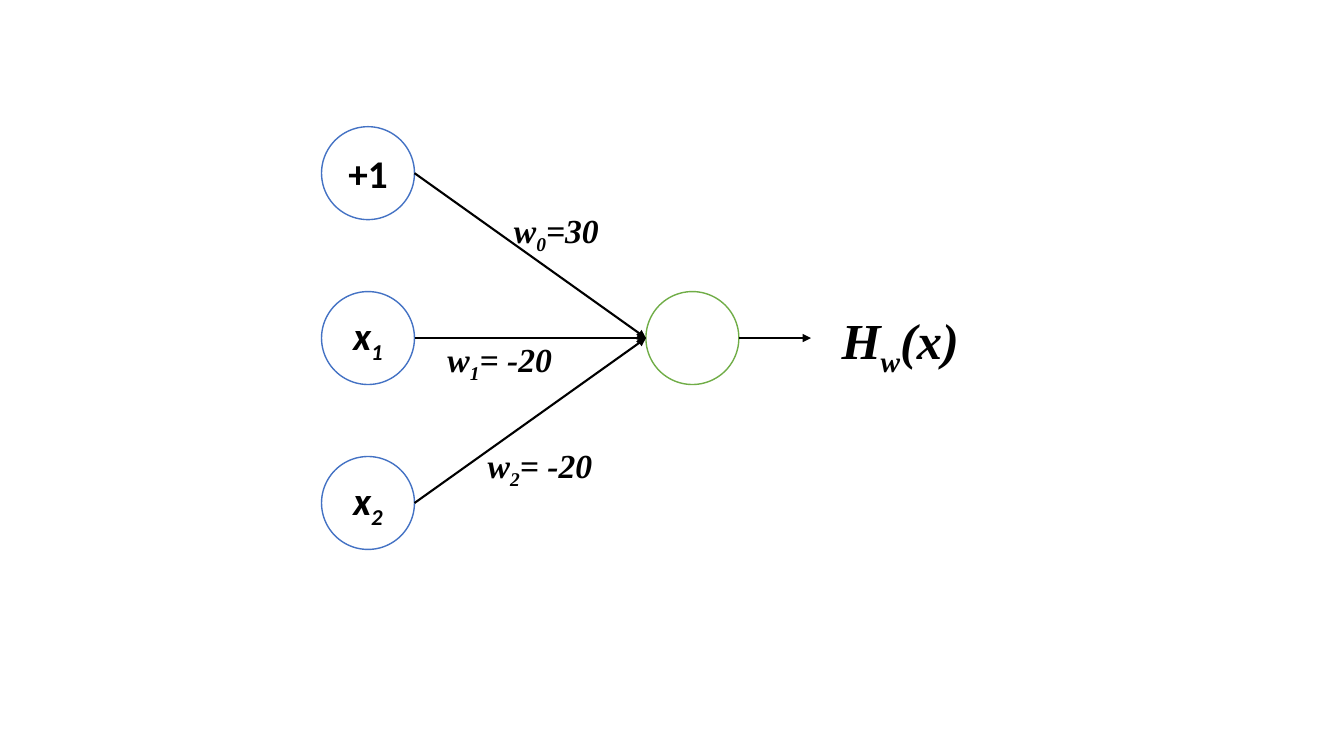
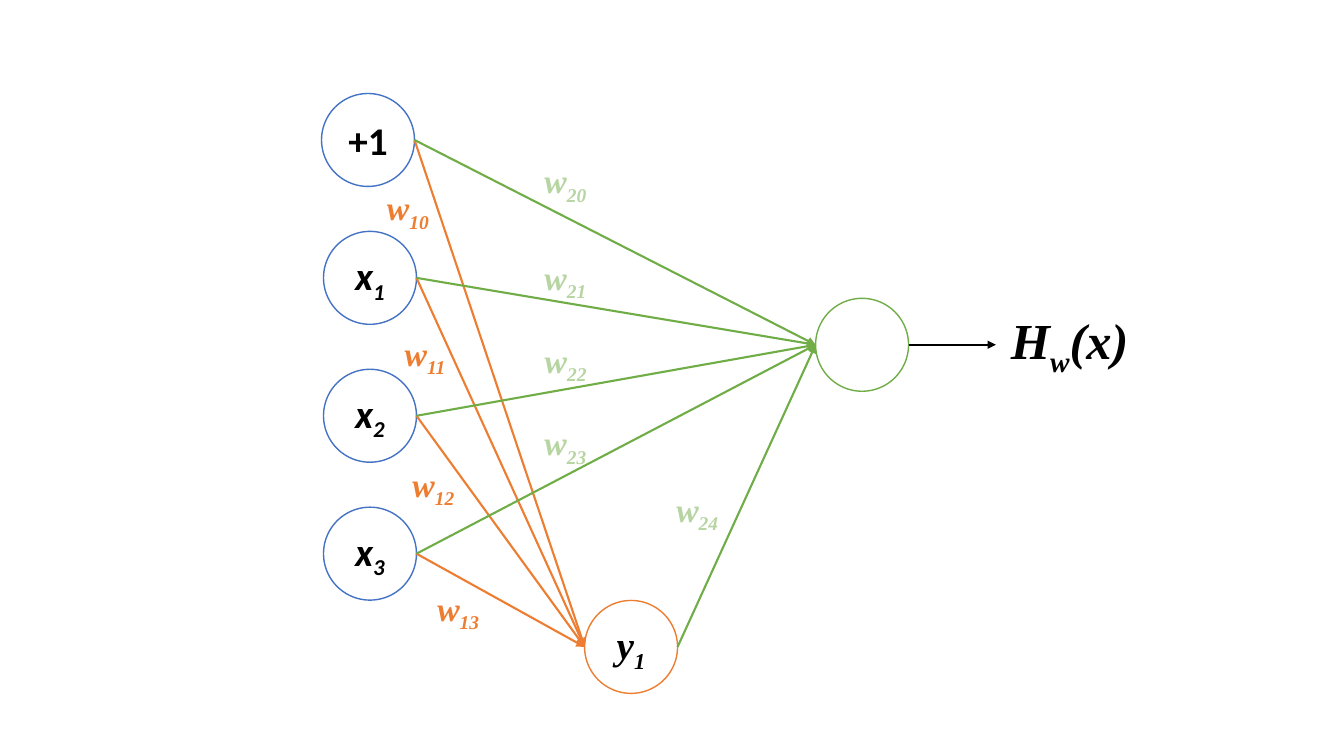
from lxml.etree import SubElement
from pptx import Presentation
from pptx.dml.color import RGBColor
from pptx.enum.shapes import MSO_CONNECTOR, MSO_SHAPE
from pptx.enum.text import MSO_ANCHOR, MSO_AUTO_SIZE, PP_ALIGN
from pptx.oxml.ns import qn
from pptx.util import Pt

BLACK = RGBColor(0x00, 0x00, 0x00)
WHITE = RGBColor(0xFF, 0xFF, 0xFF)
BLUE = RGBColor(0x44, 0x72, 0xC4)
ORANGE = RGBColor(0xED, 0x7D, 0x31)
GREEN = RGBColor(0x70, 0xAD, 0x47)
PALE_GREEN = RGBColor(0xB7, 0xD5, 0xA2)

SANS = "Calibri"
SERIF = "Times New Roman"
DIAMETER = 66.4
# Connection sites of an ellipse
LEFT_SITE, RIGHT_SITE = 2, 6


def write(frame, text, size=24, font=SERIF, color=BLACK, italic=True, align=PP_ALIGN.LEFT):
    """Write text in which every second part between underscores is a subscript."""
    paragraph = frame.paragraphs[0]
    paragraph.alignment = align
    for index, part in enumerate(text.split("_")):
        if not part:
            continue
        run = paragraph.add_run()
        run.text = part
        run.font.size = Pt(size)
        run.font.name = font
        run.font.bold = True
        run.font.italic = italic
        run.font.color.rgb = color
        if index % 2:
            run._r.get_or_add_rPr().set("baseline", "-25000")


def add_node(slide, left, top, outline, text="", **text_format):
    node = slide.shapes.add_shape(
        MSO_SHAPE.OVAL, Pt(left), Pt(top), Pt(DIAMETER), Pt(DIAMETER))
    node.shadow.inherit = False
    node.fill.solid()
    node.fill.fore_color.rgb = WHITE
    node.line.color.rgb = outline
    node.line.width = Pt(1)
    if text:
        frame = node.text_frame
        frame.vertical_anchor = MSO_ANCHOR.MIDDLE
        frame.margin_left = frame.margin_right = 0
        write(frame, text, size=28, align=PP_ALIGN.CENTER, **text_format)
    return node


def add_inputs(slide, lefts, top, pitch):
    """Add the bias node and, below it, the nodes x1, x2 and so on."""
    return [
        add_node(slide, left, top + i * pitch, BLUE, f"x_{i}" if i else "+1",
                 font=SANS, italic=i > 0)
        for i, left in enumerate(lefts)
    ]


def add_label(slide, left, top, width, text, height=36, **text_format):
    label = slide.shapes.add_textbox(Pt(left), Pt(top), Pt(width), Pt(height))
    label.text_frame.word_wrap = True
    label.text_frame.auto_size = MSO_AUTO_SIZE.SHAPE_TO_FIT_TEXT
    write(label.text_frame, text, **text_format)


def add_arrow(slide, source, target=None, length=0, color=BLACK, head="triangle"):
    """Join two nodes, or let an arrow of a given length leave the source."""
    x = source.left + source.width
    y = source.top + source.height // 2
    end_x = target.left if target else x + Pt(length)
    end_y = target.top + target.height // 2 if target else y
    arrow = slide.shapes.add_connector(MSO_CONNECTOR.STRAIGHT, x, y, end_x, end_y)
    arrow.line.color.rgb = color
    arrow.line.width = Pt(1.5)
    SubElement(arrow.line._get_or_add_ln(), qn("a:tailEnd"), type=head)
    SubElement(arrow._element.spPr, qn("a:effectLst"))
    joints = next(arrow._element.iter(qn("p:cNvCxnSpPr")))
    SubElement(joints, qn("a:stCxn"), id=str(source.shape_id), idx=str(RIGHT_SITE))
    if target:
        SubElement(joints, qn("a:endCxn"), id=str(target.shape_id), idx=str(LEFT_SITE))


def add_output(slide, node, arrow_length, label_left):
    add_arrow(slide, node, length=arrow_length)
    add_label(slide, label_left, 217.4, 121, "H_w_(x)", height=51, size=36)


def build_single_neuron(slide):
    inputs = add_inputs(slide, [229.7] * 3, top=90.5, pitch=117.8)
    neuron = add_node(slide, 461.4, 208.3, GREEN)
    for source, head in zip(inputs, ("triangle", "arrow", "triangle")):
        add_arrow(slide, source, neuron, head=head)
    add_output(slide, neuron, 51.5, 594)
    for left, top, width, text in (
        (360, 146.2, 83.5, "w_0_=30"),
        (312.5, 238.3, 95, "w_1_= -20"),
        (341.3, 313.9, 120, "w_2_= -20"),
    ):
        add_label(slide, left, top, width, text)


def build_two_layers(slide):
    inputs = add_inputs(slide, [229.7] + [231.1] * 3, top=66.8, pitch=98.5)
    hidden = add_node(slide, 417.6, 428.9, ORANGE, "y_1")
    neuron = add_node(slide, 582.6, 213.1, GREEN)
    for source, head in zip(inputs, ("triangle", "arrow", "triangle", "triangle")):
        add_arrow(slide, source, hidden, color=ORANGE, head=head)
    for source in inputs + [hidden]:
        add_arrow(slide, source, neuron, color=GREEN)
    add_output(slide, neuron, 62.4, 715)

    hidden_labels = ((269.3, 130.3), (282, 234), (287.5, 327.6), (305.3, 416.2))
    output_labels = ((381.8, 110.9), (381.8, 180), (382, 239), (381.8, 298.1), (476, 345.6))
    for layer, color, places in (
        (1, ORANGE, hidden_labels),
        (2, PALE_GREEN, output_labels),
    ):
        for i, (left, top) in enumerate(places):
            add_label(slide, left, top, 58, f"w_{layer}{i}", color=color)


def main():
    deck = Presentation()
    deck.slide_width, deck.slide_height = Pt(960), Pt(540)
    blank = deck.slide_layouts[6]
    for build in (build_single_neuron, build_two_layers):
        build(deck.slides.add_slide(blank))
    deck.save("out.pptx")


if __name__ == "__main__":
    main()
